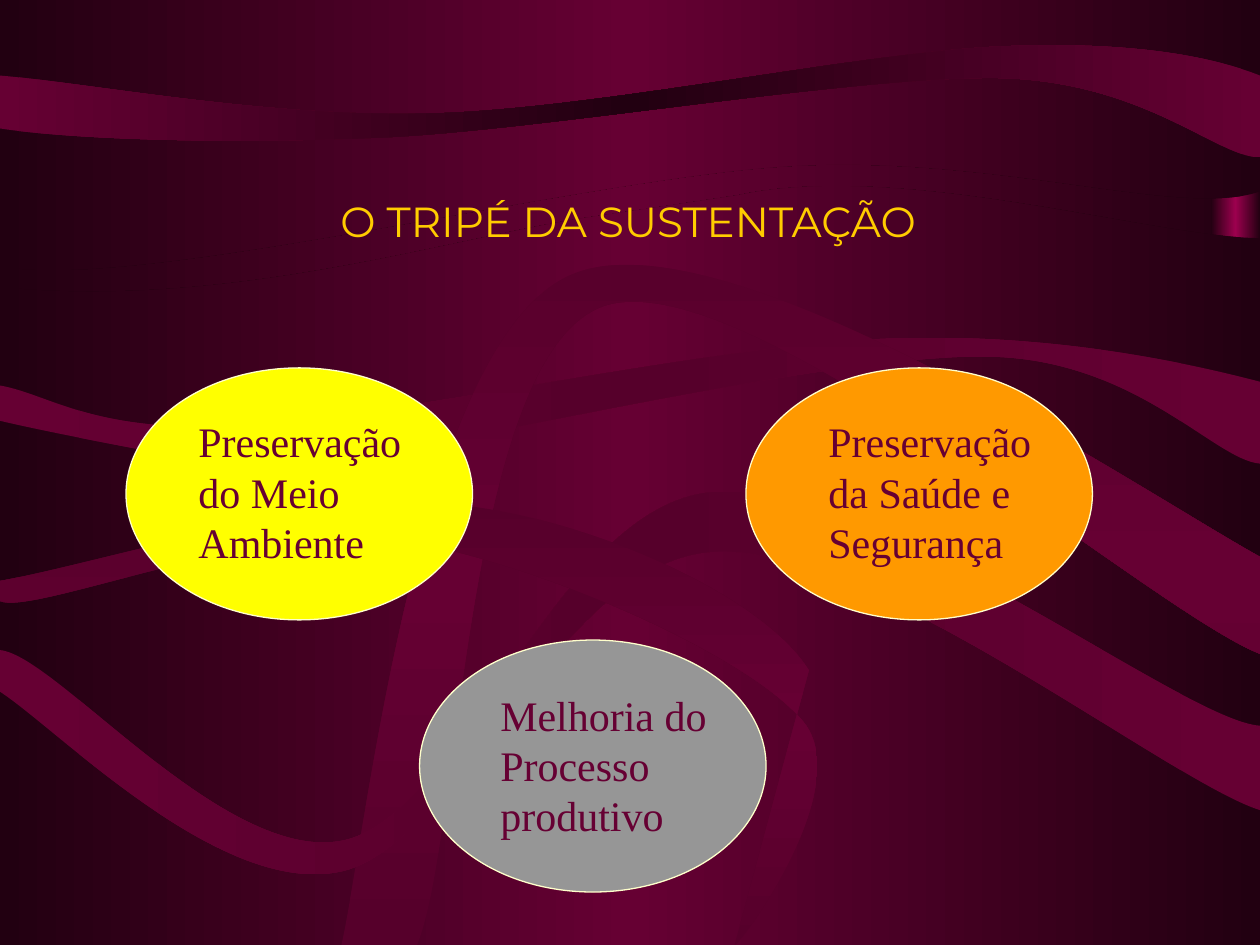
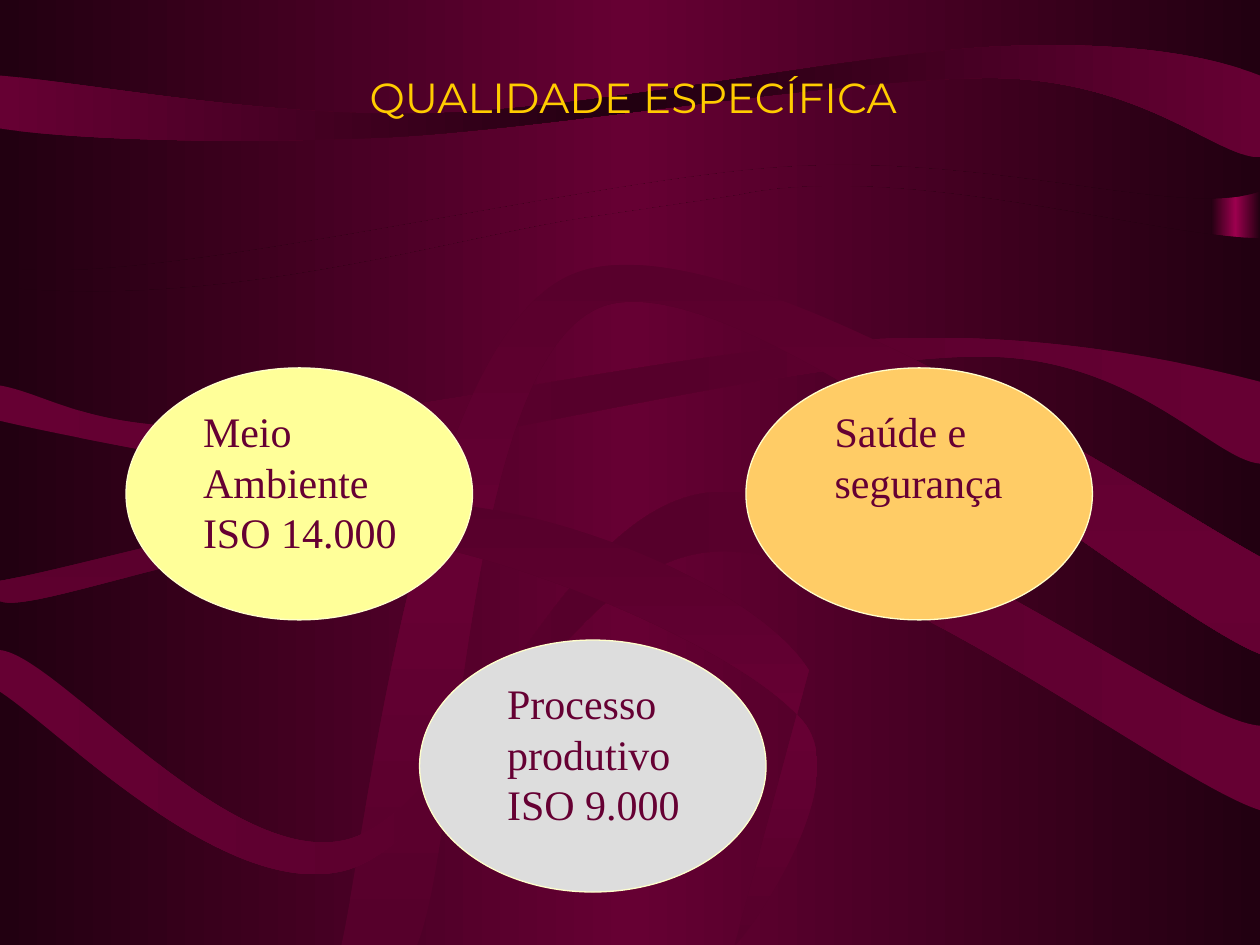
from copy import deepcopy
from dataclasses import dataclass

from lxml.etree import SubElement
from pptx import Presentation
from pptx.dml.color import RGBColor
from pptx.enum.shapes import MSO_SHAPE as SHAPE
from pptx.enum.text import MSO_ANCHOR as ANCHOR, MSO_AUTO_SIZE as AUTO_SIZE
from pptx.oxml.ns import qn
from pptx.util import Inches, Pt


@dataclass(frozen=True)
class Theme:
    night: str = "220011"
    wine: str = "660033"
    plum: str = "56002B"
    magenta: str = "9C004E"
    gold: str = "FFCC00"
    cream: str = "FFFFCC"
    title_font: str = "Montserrat"
    body_font: str = "Times New Roman"
    size: float = 24
    body_leading: float = 28.8
    outline: float = 0.75


T = Theme()
ACROSS, DOWN = 0, 90
OVAL_SIZE = (2.75, 2)
OVAL_SPOTS = [(1, 2.92), (3.33, 5.08), (5.92, 2.92)]
LABEL_SIZE = (1.92, 1.42)
TITLE_SIZE = (7.13, 1.04)

# Backdrop bands: edge colour, middle colour, direction, start, segments.
# A segment of two numbers is a line; one of six is a Bézier curve.
BANDS = [
    (T.night, T.wine, ACROSS, (0, 0),
     [(10, 0), (10, 1.52), (9.38, 1.74, 7.92, 1.22, 6.25, 1.32),
      (4.58, 1.42, 1.04, 2.33, 0, 2.11)]),
    (T.night, T.wine, ACROSS, (0, 2.28),
     [(1.78, 2.45, 3.4, 1.94, 4.58, 1.74),
      (4.58, 1.74, 5.67, 1.58, 5.86, 1.55),
      (7.15, 1.27, 9.17, 1.89, 10, 1.89), (10, 7.5), (0, 7.5)]),
    (T.wine, T.night, ACROSS, (0, 0.6),
     [(0, 1.02), (0.51, 1.1, 1.76, 1.15, 3.08, 1.09),
      (4.4, 1.02, 6.79, 0.6, 7.94, 0.62), (9.09, 0.65, 9.66, 1.25, 10, 1.25),
      (10, 0.6), (9.65, 0.46, 9.01, 0.32, 7.92, 0.37),
      (6.82, 0.42, 4.77, 0.86, 3.45, 0.9), (2.13, 0.94, 0.72, 0.66, 0, 0.6)]),
    (T.wine, T.plum, ACROSS, (0, 3.06),
     [(0, 3.34), (0.37, 3.43, 1.75, 3.7, 2.22, 3.75),
      (2.69, 3.8, 1.9, 3.79, 2.82, 3.64), (3.75, 3.48, 6.6, 2.82, 7.8, 2.83),
      (9, 2.83, 9.63, 3.65, 10, 3.68), (10, 3.03),
      (9.5, 2.9, 8.36, 2.63, 7.01, 2.69), (5.66, 2.74, 3.07, 3.32, 1.9, 3.38),
      (0.73, 3.44, 0.4, 3.13, 0, 3.06)]),
    (T.plum, T.wine, DOWN, (2.71, 7.5),
     [(2.91, 6.61, 3.32, 2.69, 4.54, 2.18), (5.75, 1.66, 9.09, 3.92, 10, 4.42),
      (10, 5.19), (9.13, 4.85, 5.91, 2.05, 4.79, 2.43),
      (3.68, 2.82, 3.66, 6.66, 3.31, 7.5)]),
    (T.wine, T.plum, ACROSS, (0, 5.16),
     [(0, 5.49), (0.45, 5.78, 1.74, 7.11, 2.69, 6.92),
      (3.63, 6.74, 4.43, 4.46, 5.65, 4.38), (6.87, 4.29, 9.27, 6.2, 10, 6.43),
      (10, 5.76), (9.38, 5.72, 6.91, 3.77, 5.62, 3.91),
      (4.41, 4.06, 3.67, 6.46, 2.73, 6.67), (1.79, 6.87, 0.45, 5.2, 0, 5.16)]),
    (T.plum, T.wine, DOWN, (0, 4.61),
     [(0, 4.77), (0.26, 4.89, 2.08, 4.13, 3.14, 4.28),
      (4.2, 4.44, 5.92, 5.18, 6.37, 5.72), (6.82, 6.25, 5.82, 7.57, 5.83, 7.5),
      (6.42, 5.32), (6.06, 4.74, 4.73, 4.13, 3.66, 4.01),
      (2.59, 3.89, 0.76, 4.48, 0, 4.61)]),
]


def rgb(value):
    return RGBColor.from_string(value)


def box(spot, size):
    return [Inches(v) for v in (*spot, *size)]


def set_gradient(owner, fill, edge, middle, angle):
    """Fill with a gradient that is symmetric about its middle colour."""
    fill.gradient()
    fill.gradient_angle = angle
    stops = owner.element.find(".//" + qn("a:gsLst"))
    stops.insert(1, deepcopy(stops[0]))
    for stop, position, color in zip(fill.gradient_stops, (0, 0.5, 1),
                                     (edge, middle, edge)):
        stop.position = position
        stop.color.rgb = rgb(color)


def finish_band(sp, edge, middle, angle):
    sp.shadow.inherit = False
    sp.line.fill.background()
    set_gradient(sp, sp.fill, edge, middle, angle)


def bend_segments(sp, segments):
    """Join each run of three lines that stands for a curve into one Bézier."""
    outline = sp.element.find(".//" + qn("a:pathLst"))[0]
    lines = iter(outline.findall(qn("a:lnTo")))
    for seg in segments:
        line = next(lines)
        if len(seg) == 6:
            curve = SubElement(outline, qn("a:cubicBezTo"))
            line.addprevious(curve)
            for part in (line, next(lines), next(lines)):
                curve.append(part[0])
                outline.remove(part)


def add_band(s, edge, middle, angle, start, segments):
    points = [(Inches(seg[i]), Inches(seg[i + 1]))
              for seg in segments for i in range(0, len(seg), 2)]
    builder = s.shapes.build_freeform(*map(Inches, start))
    builder.add_line_segments(points, close=True)
    sp = builder.convert_to_shape()
    bend_segments(sp, segments)
    finish_band(sp, edge, middle, angle)


def build_backdrop(layout, s):
    """Draw the shared backdrop on a slide, then move it to the layout."""
    set_gradient(layout, layout.background.fill, T.night, T.wine, ACROSS)
    for ph in list(layout.placeholders):
        layout.shapes.element.remove(ph.element)
    glow = s.shapes.add_shape(SHAPE.RECTANGLE, *box((9.61, 0.49), (0.39, 3.45)))
    finish_band(glow, T.night, T.magenta, ACROSS)
    for band in BANDS:
        add_band(s, *band)
    for sp in list(s.shapes):
        layout.shapes.element.append(sp.element)


def add_text(s, lines, spot, size, font=T.body_font, color=T.wine, leading=None):
    """Add left-aligned lines, centred in the box as one block."""
    sp = s.shapes.add_textbox(*box(spot, size))
    tf = sp.text_frame
    tf.word_wrap = False
    tf.auto_size = AUTO_SIZE.NONE
    tf.vertical_anchor = ANCHOR.TOP
    sp.element.find(".//" + qn("a:bodyPr")).set("anchorCtr", "1")
    for i, line in enumerate(lines):
        p = tf.add_paragraph() if i else tf.paragraphs[0]
        if leading:
            p.line_spacing = Pt(leading)
        r = p.add_run()
        r.text = line
        r.font.name = font
        r.font.size = Pt(T.size)
        r.font.color.rgb = rgb(color)


def add_oval(s, spot, color):
    sp = s.shapes.add_shape(SHAPE.OVAL, *box(spot, OVAL_SIZE))
    sp.shadow.inherit = False
    sp.fill.solid()
    sp.fill.fore_color.rgb = rgb(color)
    sp.line.color.rgb = rgb(T.cream)
    sp.line.width = Pt(T.outline)


def fill_slide(s, title, title_spot, colors, labels):
    add_text(s, [title], title_spot, TITLE_SIZE, font=T.title_font, color=T.gold)
    for spot, color in zip(OVAL_SPOTS, colors):
        add_oval(s, spot, color)
    for spot, lines in labels:
        add_text(s, lines, spot, LABEL_SIZE, leading=T.body_leading)


def main():
    prs = Presentation()
    prs.slide_width, prs.slide_height = Inches(10), Inches(7.5)
    layout = prs.slide_layouts[6]
    tripod, quality = [prs.slides.add_slide(layout) for _ in range(2)]
    build_backdrop(layout, tripod)

    # Slide 1: the three supports
    fill_slide(tripod, "O TRIPÉ DA SUSTENTAÇÃO", (1.42, 1.5),
               ("FFFF00", "969696", "FF9900"),
               [((1.42, 3.25), ["Preservação", "do Meio", "Ambiente"]),
                ((3.83, 5.42), ["Melhoria do", "Processo", "produtivo"]),
                ((6.42, 3.25), ["Preservação", "da Saúde e", "Segurança"])])

    # Slide 2: the matching standards
    fill_slide(quality, "QUALIDADE ESPECÍFICA", (1.46, 0.52),
               ("FFFF99", "DDDDDD", "FFCC66"),
               [((1.42, 3.17), ["Meio", "Ambiente", "ISO 14.000"]),
                ((3.75, 5.33), ["Processo", "produtivo", "ISO 9.000"]),
                ((6.33, 3.17), ["Saúde e", "segurança"])])

    prs.save("out.pptx")


if __name__ == "__main__":
    main()
